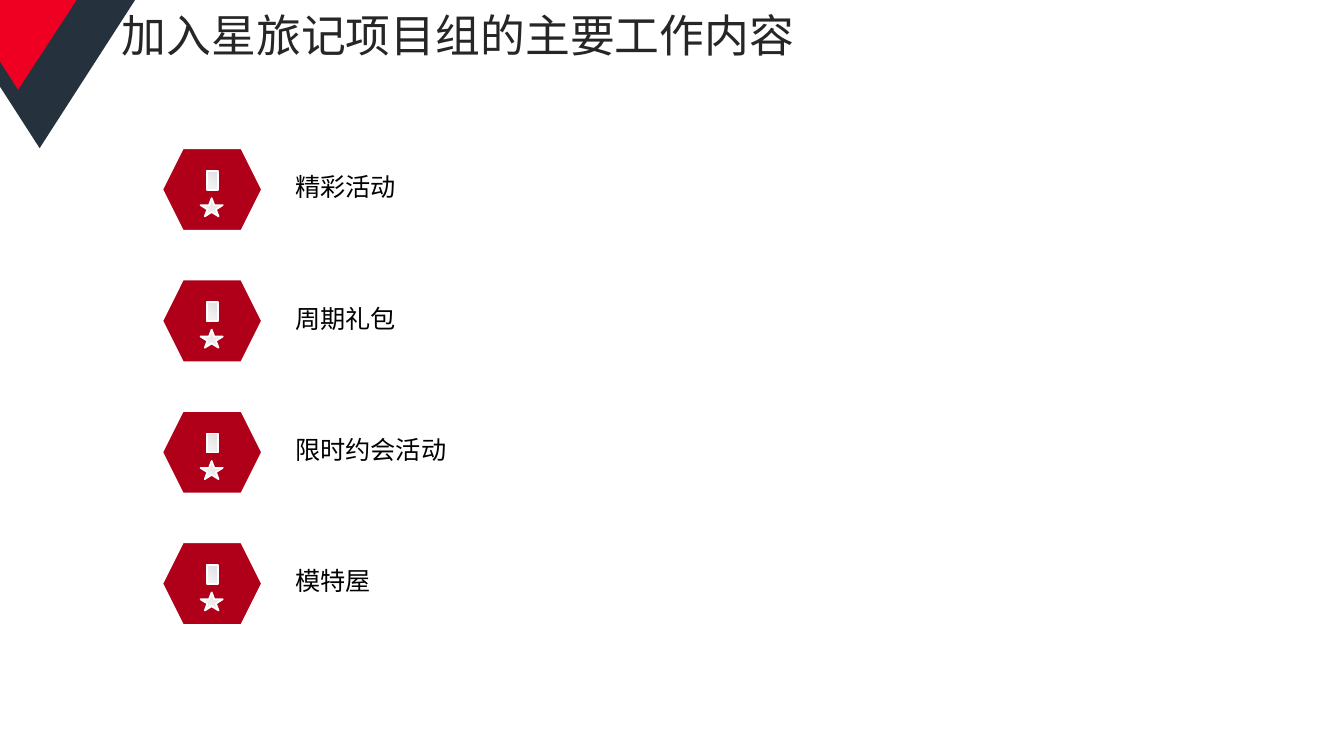
from dataclasses import dataclass

from pptx import Presentation
from pptx.dml.color import RGBColor
from pptx.dml.fill import FillFormat
from pptx.enum.shapes import MSO_SHAPE
from pptx.enum.text import MSO_ANCHOR, MSO_AUTO_SIZE
from pptx.shapes.autoshape import Shape
from pptx.shapes.shapetree import GroupShapes, SlideShapes
from pptx.util import Inches, Pt

SLIDE_WIDTH, SLIDE_HEIGHT = Inches(13.33), Inches(7.5)
GRID_COLUMNS, GRID_ROWS = 40, 22.5


@dataclass(frozen=True)
class Theme:
    font: str = "Arial"
    title_size: float = 32
    label_size: float = 18
    outline_width: float = 1.25
    title: str = "262626"
    label: str = "000000"
    navy: str = "25313D"
    bright_red: str = "EF0023"
    deep_red: str = "B00019"
    white: str = "FFFFFF"
    medal_dark: str = "E2DDE1"
    medal_light: str = "F2F2F2"


@dataclass(frozen=True)
class Area:
    column: float
    row: float
    columns: float
    rows: float

    def shifted(self, column: float, row: float) -> "Area":
        return Area(self.column + column, self.row + row, self.columns, self.rows)

    def lengths(self) -> tuple[int, int, int, int]:
        return (across(self.column), down(self.row), across(self.columns), down(self.rows))


@dataclass(frozen=True)
class CornerTriangle:
    color: str
    points: tuple[tuple[float, float], ...]


@dataclass(frozen=True)
class BadgePart:
    preset: MSO_SHAPE
    area: Area
    colors: tuple[str, ...]


@dataclass(frozen=True)
class TextStyle:
    size: float
    color: str
    wrap: bool
    line_spacing: float = 1.0
    anchor: MSO_ANCHOR = MSO_ANCHOR.TOP
    auto_size: MSO_AUTO_SIZE = MSO_AUTO_SIZE.NONE


def across(columns: float) -> int:
    return round(columns * SLIDE_WIDTH / GRID_COLUMNS)


def down(rows: float) -> int:
    return round(rows * SLIDE_HEIGHT / GRID_ROWS)


THEME = Theme()
TITLE = "加入星旅记项目组的主要工作内容"
TITLE_AREA = Area(3.33, 0.06, 25.74, 2.13)
TITLE_STYLE = TextStyle(THEME.title_size, THEME.title, True, 0.9, MSO_ANCHOR.MIDDLE)
LABEL_STYLE = TextStyle(
    THEME.label_size, THEME.label, False, auto_size=MSO_AUTO_SIZE.SHAPE_TO_FIT_TEXT
)
TRIANGLES = (
    CornerTriangle(THEME.navy, ((0, 0), (4.02, 0), (1.18, 4.41), (0, 2.58))),
    CornerTriangle(THEME.bright_red, ((0, 0), (2.28, 0), (0.54, 2.67), (0, 1.83))),
)
MEDAL_COLORS = (THEME.medal_dark, THEME.medal_light)
BADGE = (
    BadgePart(MSO_SHAPE.HEXAGON, Area(0, 0, 2.97, 2.46), (THEME.deep_red,)),
    BadgePart(MSO_SHAPE.STAR_5_POINT, Area(1.14, 1.49, 0.66, 0.54), MEDAL_COLORS),
    BadgePart(MSO_SHAPE.RECTANGLE, Area(1.32, 0.67, 0.33, 0.57), MEDAL_COLORS),
)
WORK_ITEMS = ("精彩活动", "周期礼包", "限时约会活动", "模特屋")
LIST_COLUMN, LIST_ROW, ROW_PITCH = 4.83, 4.41, 3.91
LABEL_COLUMN, LABEL_ROW, LABEL_ROWS = 3.66, 0.55, 1.2
CHARACTER_COLUMNS, LABEL_MARGINS = 0.76, 0.6


def paint(fill: FillFormat, colors: tuple[str, ...]) -> None:
    if len(colors) == 1:
        fill.solid()
        fill.fore_color.rgb = RGBColor.from_string(colors[0])
        return
    fill.gradient()
    fill.gradient_angle = 230
    for stop, color, position in zip(fill.gradient_stops, colors, (0, 0.76)):
        stop.color.rgb = RGBColor.from_string(color)
        stop.position = position


def draw_triangle(shapes: GroupShapes, triangle: CornerTriangle) -> Shape:
    start, *others = [(across(column), down(row)) for column, row in triangle.points]
    builder = shapes.build_freeform(*start)
    builder.add_line_segments(others, close=True)
    shape = builder.convert_to_shape()
    shape.shadow.inherit = False
    paint(shape.fill, (triangle.color,))
    shape.line.fill.background()
    return shape


def draw_badge_part(shapes: GroupShapes, part: BadgePart, column: float, row: float) -> Shape:
    shape = shapes.add_shape(part.preset, *part.area.shifted(column, row).lengths())
    shape.shadow.inherit = False
    paint(shape.fill, part.colors)
    shape.line.color.rgb = RGBColor.from_string(THEME.white)
    shape.line.width = Pt(THEME.outline_width)
    return shape


def draw_text(
    shapes: SlideShapes | GroupShapes, area: Area, text: str, style: TextStyle
) -> Shape:
    shape = shapes.add_textbox(*area.lengths())
    frame = shape.text_frame
    frame.word_wrap = style.wrap
    frame.vertical_anchor = style.anchor
    frame.auto_size = style.auto_size
    paragraph = frame.paragraphs[0]
    paragraph.line_spacing = style.line_spacing
    run = paragraph.add_run()
    run.text = text
    run.font.name = THEME.font
    run.font.size = Pt(style.size)
    run.font.color.rgb = RGBColor.from_string(style.color)
    return shape


def draw_work_item(shapes: GroupShapes, text: str, row: float) -> None:
    width = len(text) * CHARACTER_COLUMNS + LABEL_MARGINS
    label_area = Area(LABEL_COLUMN, LABEL_ROW, width, LABEL_ROWS)
    draw_text(shapes, label_area.shifted(LIST_COLUMN, row), text, LABEL_STYLE)
    for part in BADGE:
        draw_badge_part(shapes, part, LIST_COLUMN, row)


def main() -> None:
    presentation = Presentation()
    presentation.slide_width, presentation.slide_height = SLIDE_WIDTH, SLIDE_HEIGHT
    slide = presentation.slides.add_slide(presentation.slide_layouts[6])
    paint(slide.background.fill, (THEME.white,))
    corner = slide.shapes.add_group_shape()
    for triangle in TRIANGLES:
        draw_triangle(corner.shapes, triangle)
    draw_text(slide.shapes, TITLE_AREA, TITLE, TITLE_STYLE)
    for index, text in enumerate(WORK_ITEMS):
        group = slide.shapes.add_group_shape()
        draw_work_item(group.shapes, text, LIST_ROW + index * ROW_PITCH)
    presentation.save("out.pptx")


main()
